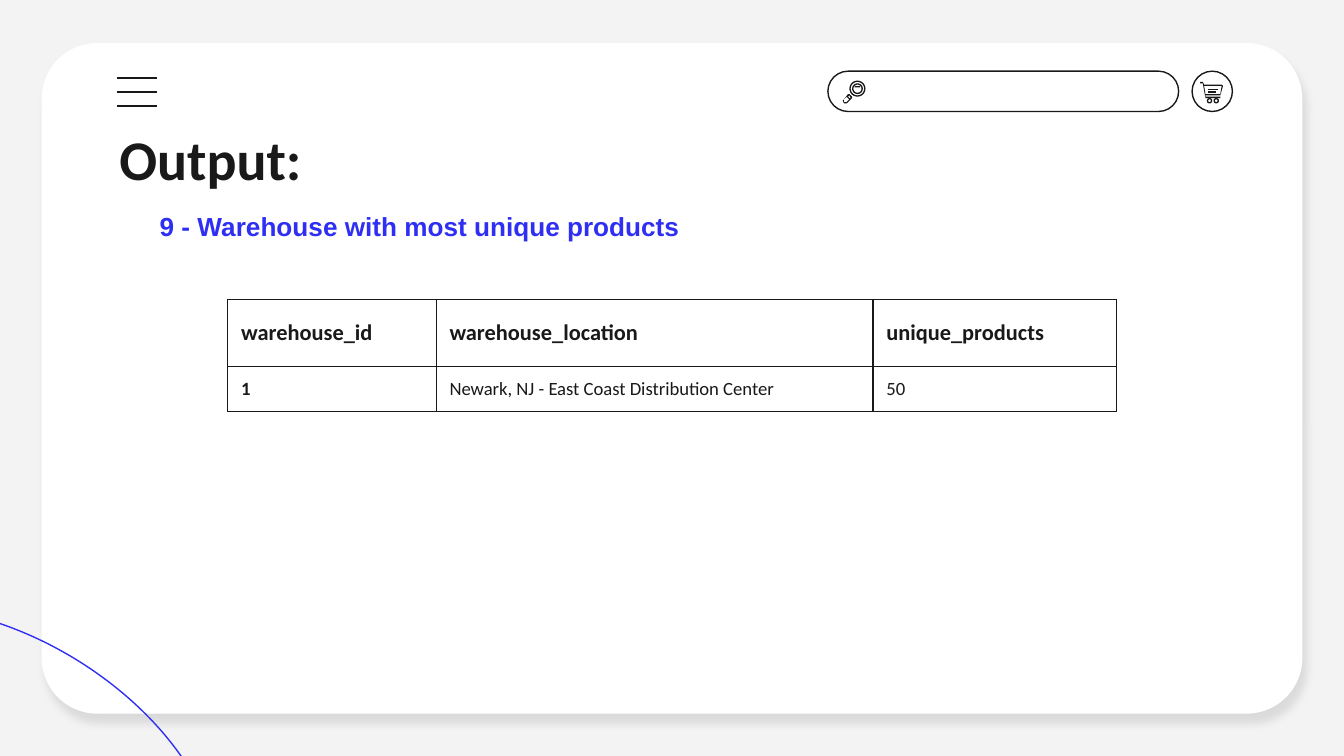
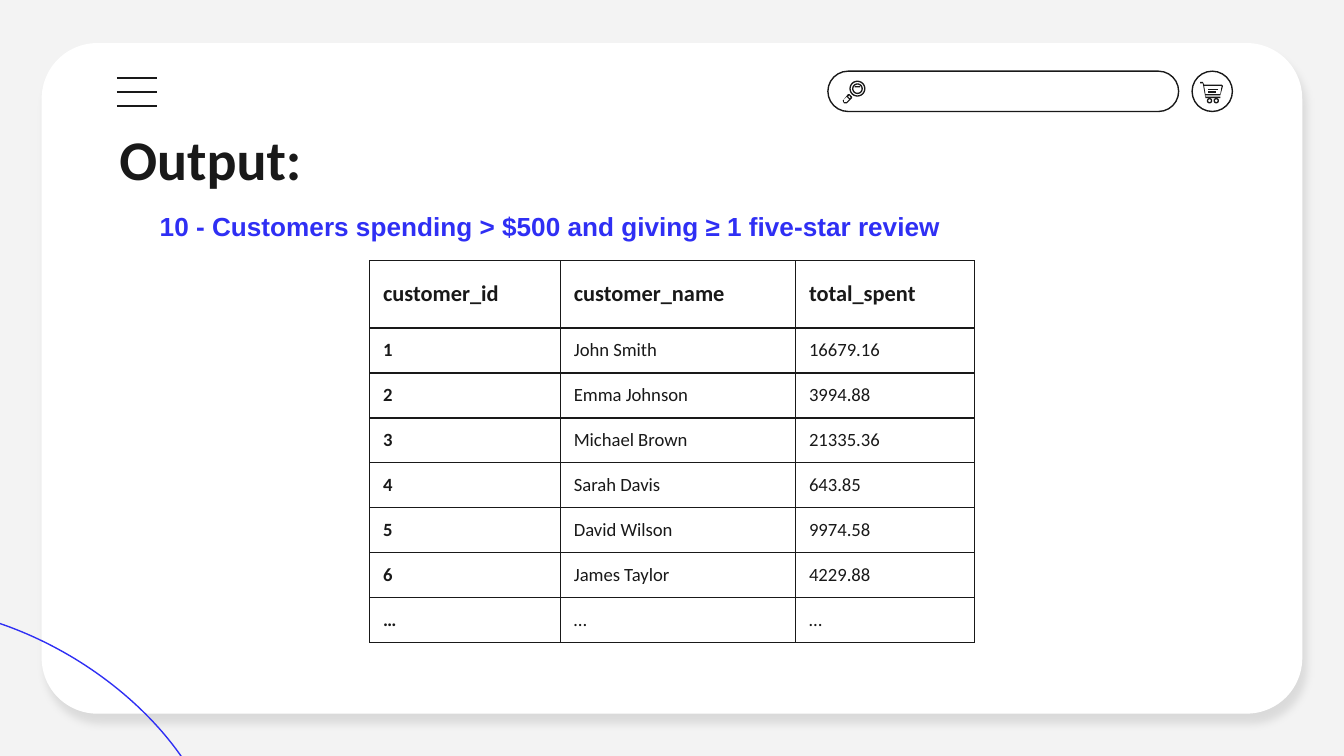
import math

import lxml.etree
import pptx
import pptx.dml.color
import pptx.enum.shapes
import pptx.enum.text
import pptx.oxml.ns
import pptx.util

Inches = pptx.util.Inches
Pt = pptx.util.Pt
SHAPE = pptx.enum.shapes.MSO_SHAPE
ANCHOR = pptx.enum.text.MSO_ANCHOR
qn = pptx.oxml.ns.qn

SLIDE_WIDTH, SLIDE_HEIGHT = 10, 5.625
INK, BLUE, WHITE, GREY = "191919", "2F2FF4", "FFFFFF", "F3F3F3"
LINE_WIDTH = 0.75
HEADER_ROW, BODY_ROW = 0.5, 0.335

HANDLE = [(0.17, 0.18), (0.16, 0.17), (0.15, 0.17), (0.12, 0.21), (0.11, 0.22),
          (0.12, 0.24), (0.14, 0.24), (0.18, 0.2), (0.18, 0.19)]
HANDLE_GRIP = [(0.14, 0.19), (0.16, 0.21), (0.14, 0.23), (0.12, 0.23), (0.12, 0.21)]
HANDLE_NECK = [(0.16, 0.18), (0.17, 0.2), (0.16, 0.2), (0.15, 0.19)]
GLINT = [(0.2, 0.11), (0.22, 0.11), (0.24, 0.11), (0.24, 0.12), (0.22, 0.12), (0.2, 0.12)]
CART = [(0.06, 0.08), (0.08, 0.08), (0.09, 0.1), (0.22, 0.1), (0.23, 0.11),
        (0.21, 0.18), (0.1, 0.18), (0.1, 0.19), (0.21, 0.19), (0.21, 0.2),
        (0.1, 0.2), (0.08, 0.09), (0.06, 0.09)]
CART_BASKET = [(0.22, 0.11), (0.21, 0.17), (0.1, 0.17), (0.09, 0.11)]

OUTPUTS = [
    {
        "heading": "9 - Warehouse with most unique products",
        "heading_width": 4.33,
        "table_top": 2.23,
        "columns": [1.55, 3.25, 1.81],
        "rows": [
            ["warehouse_id", "warehouse_location", "unique_products"],
            ["1", "Newark, NJ - East Coast Distribution Center", "50"],
        ],
    },
    {
        "heading": "10 - Customers spending > $500 and giving ≥ 1 five-star review",
        "heading_width": 6.45,
        "table_top": 1.94,
        "columns": [1.42, 1.75, 1.33],
        "rows": [
            ["customer_id", "customer_name", "total_spent"],
            ["1", "John Smith", "16679.16"],
            ["2", "Emma Johnson", "3994.88"],
            ["3", "Michael Brown", "21335.36"],
            ["4", "Sarah Davis", "643.85"],
            ["5", "David Wilson", "9974.58"],
            ["6", "James Taylor", "4229.88"],
            ["…", "…", "…"],
        ],
    },
]


def color(value):
    """Turn a hex string into a colour."""
    return pptx.dml.color.RGBColor.from_string(value)


def paint(shape, fill=None, line=None):
    """Give a shape a flat fill and outline, or none."""
    shape.shadow.inherit = False
    if fill:
        shape.fill.solid()
        shape.fill.fore_color.rgb = color(fill)
    else:
        shape.fill.background()
    if line:
        shape.line.color.rgb = color(line)
        shape.line.width = Pt(LINE_WIDTH)
    else:
        shape.line.fill.background()
    return shape


def add_preset(slide, kind, box, fill=None, line=None):
    """Add a painted preset shape in a box of inches."""
    return paint(slide.shapes.add_shape(kind, *map(Inches, box)), fill, line)


def circle(x, y, radius, steps=24):
    """Return the points of a circle around a centre."""
    angles = [2 * math.pi * step / steps for step in range(steps)]
    return [(x + radius * math.cos(angle), y + radius * math.sin(angle))
            for angle in angles]


def add_icon(slide, left, top, *contours):
    """Fill closed contours, given relative to a corner, as one shape."""
    builder = None
    for contour in contours:
        points = [(Inches(left + x), Inches(top + y)) for x, y in contour]
        if builder is None:
            builder = slide.shapes.build_freeform(*points[0])
        else:
            builder.move_to(*points[0])
        builder.add_line_segments(points[1:], close=True)
    paint(builder.convert_to_shape(), fill=INK)


def add_ring(slide, left, top, x, y, radius):
    """Add a thin ring around a centre relative to a corner."""
    add_icon(slide, left, top, circle(x, y, radius), circle(x, y, radius - 0.01))


def add_line(slide, x1, y1, x2, y2):
    """Add a thin straight line."""
    connector = slide.shapes.add_connector(
        pptx.enum.shapes.MSO_CONNECTOR.STRAIGHT, *map(Inches, (x1, y1, x2, y2)))
    connector.line.color.rgb = color(INK)
    connector.line.width = Pt(LINE_WIDTH)
    lxml.etree.SubElement(connector._element.spPr, qn("a:effectLst"))


def format_font(paragraph, size, name, hue, bold):
    """Set the font of every run in a paragraph."""
    for run in paragraph.runs:
        run.font.size = Pt(size)
        run.font.name = name
        run.font.color.rgb = color(hue)
        run.font.bold = bold


def add_text(slide, box, text, size, name, hue, anchor):
    """Add one bold line of text in a box."""
    text_frame = slide.shapes.add_textbox(*map(Inches, box)).text_frame
    text_frame.word_wrap = True
    text_frame.vertical_anchor = anchor
    text_frame.margin_left = text_frame.margin_right = Inches(0.1)
    text_frame.margin_top = text_frame.margin_bottom = Inches(0.1)
    text_frame.text = text
    format_font(text_frame.paragraphs[0], size, name, hue, True)


def add_card(slide, box):
    """Add the white rounded card with its soft shadow."""
    card = add_preset(slide, SHAPE.ROUNDED_RECTANGLE, box, fill=WHITE)
    card.adjustments[0] = 0.083
    effects = card._element.spPr.find(qn("a:effectLst"))
    shadow = lxml.etree.SubElement(
        effects, qn("a:outerShdw"), blurRad=str(Pt(4.5)), dist=str(Pt(6)),
        dir=str(68 * 60000), algn="bl", rotWithShape="0")
    black = lxml.etree.SubElement(shadow, qn("a:srgbClr"), val="000000")
    lxml.etree.SubElement(black, qn("a:alpha"), val="10000")


def add_menu(slide, left, top, width, height):
    """Add three evenly spaced menu bars."""
    for index in range(3):
        y = top + index * height / 2
        add_line(slide, left, y, left + width, y)


def add_search(slide, left, top, width, height):
    """Add the search field with its magnifier."""
    box = (left, top, width, height)
    add_preset(slide, SHAPE.ROUNDED_RECTANGLE, box, line=INK).adjustments[0] = 0.5
    add_icon(slide, left, top, circle(0.22, 0.13, 0.06), circle(0.22, 0.13, 0.05),
             HANDLE, HANDLE_GRIP, HANDLE_NECK)
    add_ring(slide, left, top, 0.22, 0.13, 0.04)
    add_icon(slide, left, top, GLINT)


def add_cart(slide, left, top, size):
    """Add the round button with a shopping cart."""
    add_preset(slide, SHAPE.OVAL, (left, top, size, size), line=INK)
    for x in (0.13, 0.18):
        add_ring(slide, left, top, x, 0.22, 0.02)
    for y, right in ((0.13, 0.19), (0.15, 0.18)):
        add_icon(slide, left, top, [
            (0.12, y), (right, y), (right, y + 0.01), (0.12, y + 0.01)])
    add_icon(slide, left, top, CART, CART_BASKET)


def add_frame(slide):
    """Add the background, card, curve, top bar and title of a page."""
    slide.background.fill.solid()
    slide.background.fill.fore_color.rgb = color(GREY)
    add_card(slide, (0.31, 0.32, 9.38, 4.99))
    curve = add_preset(slide, SHAPE.OVAL, (-1.89, 4.73, 3.68, 2.31), line=BLUE)
    curve.rotation = 31.1
    add_menu(slide, 0.87, 0.58, 0.3, 0.21)
    add_search(slide, 6.16, 0.53, 2.61, 0.3)
    add_cart(slide, 8.87, 0.53, 0.3)
    add_text(slide, (0.79, 0.83, 8.43, 0.63), "Output:", 30, "Calibri", INK, ANCHOR.TOP)


def add_borders(cell):
    """Draw thin lines on all four sides of a cell."""
    properties = cell._tc.get_or_add_tcPr()
    for side in ("lnL", "lnR", "lnT", "lnB"):
        line = lxml.etree.SubElement(
            properties, qn(f"a:{side}"), w=str(Pt(LINE_WIDTH)))
        fill = lxml.etree.SubElement(line, qn("a:solidFill"))
        lxml.etree.SubElement(fill, qn("a:srgbClr"), val=INK)


def add_result_table(slide, top, columns, rows):
    """Add a horizontally centred table of query results."""
    width = sum(columns)
    height = HEADER_ROW + BODY_ROW * (len(rows) - 1)
    box = ((SLIDE_WIDTH - width) / 2, top, width, height)
    table = slide.shapes.add_table(
        len(rows), len(columns), *map(Inches, box)).table
    table.first_row = table.horz_banding = False
    for column, column_width in zip(table.columns, columns):
        column.width = Inches(column_width)
    for row_index, values in enumerate(rows):
        header = row_index == 0
        table.rows[row_index].height = Inches(HEADER_ROW if header else BODY_ROW)
        for column_index, value in enumerate(values):
            cell = table.cell(row_index, column_index)
            cell.text_frame.text = value
            cell.vertical_anchor = ANCHOR.MIDDLE
            cell.margin_left = cell.margin_right = Inches(0.1)
            cell.margin_top = cell.margin_bottom = Inches(0.05 if header else 0)
            add_borders(cell)
            cell.fill.background()
            format_font(cell.text_frame.paragraphs[0], 12 if header else 10,
                        "Calibri", INK, header or column_index == 0)


def add_output_slide(presentation, output):
    """Add one page showing a query heading and its results."""
    slide = presentation.slides.add_slide(presentation.slide_layouts[6])
    add_frame(slide)
    add_result_table(slide, output["table_top"], output["columns"], output["rows"])
    add_text(slide, (1.09, 1.4, output["heading_width"], 0.5), output["heading"],
             14, "Arial", BLUE, ANCHOR.BOTTOM)


def main():
    """Build and save the presentation."""
    presentation = pptx.Presentation()
    presentation.slide_width = Inches(SLIDE_WIDTH)
    presentation.slide_height = Inches(SLIDE_HEIGHT)
    for output in OUTPUTS:
        add_output_slide(presentation, output)
    presentation.save("out.pptx")


if __name__ == "__main__":
    main()
